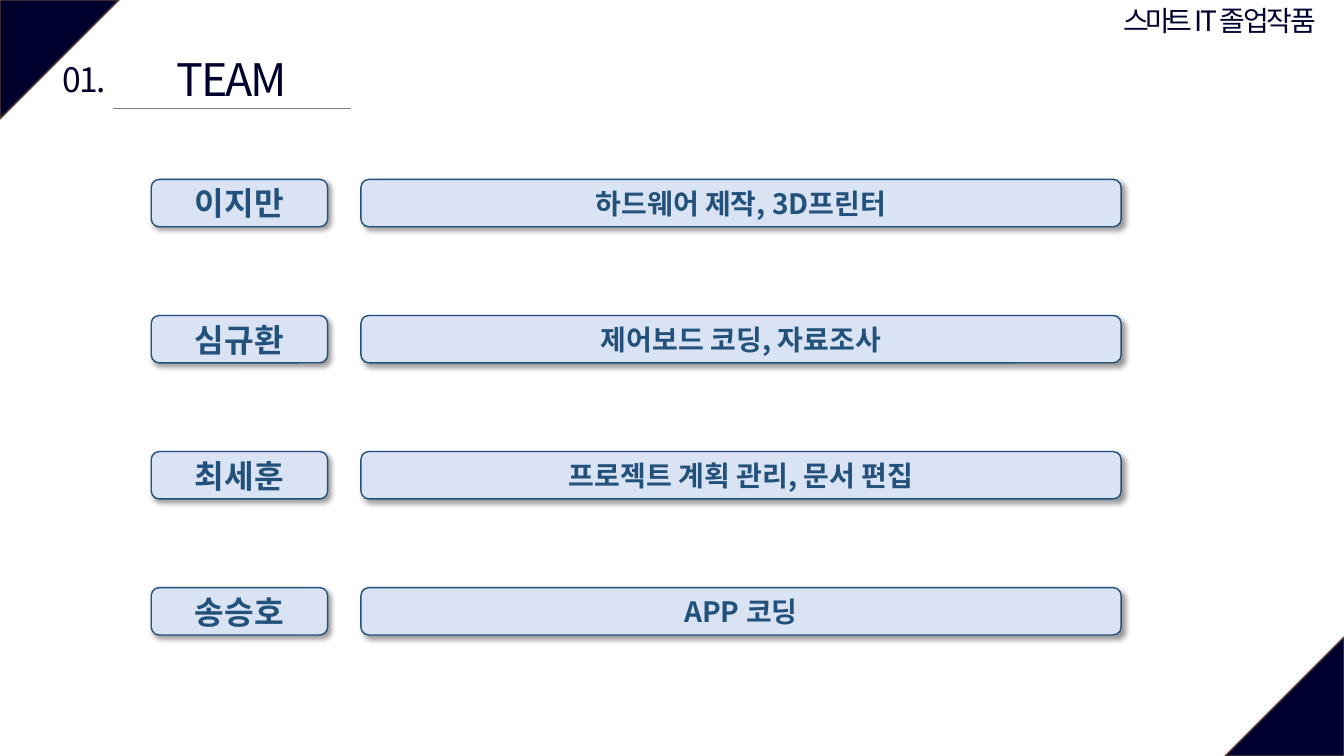
"""Build the team roles slide."""
from lxml import etree
from pptx import Presentation
from pptx.dml.color import RGBColor
from pptx.enum.shapes import MSO_CONNECTOR as CONN, MSO_SHAPE as SHAPE
from pptx.enum.text import MSO_ANCHOR as ANCHOR, MSO_AUTO_SIZE as AUTO, PP_ALIGN as ALIGN
from pptx.oxml.ns import qn
from pptx.util import Inches, Pt

COLORS = {"navy": "00002F", "edge": "5B3F33", "rule": "808080",
          "box": "DAE3F3", "blue": "22517B", "shadow": "000000"}
FONT = "Noto Sans CJK KR"
TEAM = [("이지만", "하드웨어 제작, 3D프린터"),
        ("심규환", "제어보드 코딩, 자료조사"),
        ("최세훈", "프로젝트 계획 관리, 문서 편집"),
        ("송승호", "APP 코딩")]


def write(sp, text, size, color, bold=False, spacing=0, wrap=False):
    tf = sp.text_frame
    tf.text = text
    tf.auto_size = AUTO.NONE
    tf.word_wrap = wrap
    tf.vertical_anchor = ANCHOR.MIDDLE
    tf.margin_top = tf.margin_bottom = 0
    p = tf.paragraphs[0]
    p.alignment = ALIGN.CENTER
    r = p.runs[0]
    r.font.size = Pt(size)
    r.font.bold = bold
    r.font.color.rgb = RGBColor.from_string(COLORS[color])
    r.font.name = FONT
    rPr = r.font._element
    rPr.set("spc", str(int(spacing * 100)))
    etree.SubElement(rPr, qn("a:ea"), typeface=FONT)


def add_filled(kind, left, top, width, height, fill, line):
    sp = s.shapes.add_shape(kind, Inches(left), Inches(top), Inches(width), Inches(height))
    sp.shadow.inherit = False
    sp.fill.solid()
    sp.fill.fore_color.rgb = RGBColor.from_string(COLORS[fill])
    sp.line.color.rgb = RGBColor.from_string(COLORS[line])
    sp.line.width = Pt(1)
    return sp


prs = Presentation()
prs.slide_width, prs.slide_height = Inches(13.33), Inches(7.5)
s = prs.slides.add_slide(prs.slide_layouts[5])

for left, top, angle in [(0, 0, 90), (12.15, 6.32, 270)]:
    corner = add_filled(SHAPE.ISOSCELES_TRIANGLE, left, top, 1.18, 1.18, "navy", "edge")
    corner.adjustments[0] = 0
    corner.rotation = angle

title = s.shapes.title
title.left, title.top, title.width, title.height = map(Inches, (1.62, 0.46, 1.36, 0.64))
write(title, "TEAM", 32, "navy", spacing=-1.5)

header = s.shapes.add_textbox(Inches(10.87), Inches(0), Inches(2.46), Inches(0.4))
write(header, "스마트 I T 졸 업 작 품", 20, "navy", spacing=-3)

number = s.shapes.add_textbox(Inches(0.49), Inches(0.53), Inches(0.69), Inches(0.5))
write(number, "01.", 24, "navy", spacing=-1.5)

rule = s.shapes.add_connector(CONN.STRAIGHT, Inches(1.12), Inches(1.08), Inches(3.48), Inches(1.08))
rule.line.color.rgb = RGBColor.from_string(COLORS["rule"])
rule.line.width = Pt(0.5)
etree.SubElement(rule._element.spPr, qn("a:effectLst"))

for i, (name, role) in enumerate(TEAM):
    for text, left, width, size in [(name, 1.5, 1.75, 23), (role, 3.58, 7.54, 20)]:
        box = add_filled(SHAPE.ROUNDED_RECTANGLE, left, 1.78 + 1.35 * i, width, 0.47, "box", "blue")
        write(box, text, size, "blue", bold=True, wrap=True)
        effects = box._element.spPr.find(qn("a:effectLst"))
        shadow = etree.SubElement(effects, qn("a:outerShdw"), blurRad=str(Pt(4)), dist=str(Pt(3)),
                                  dir=str(45 * 60000), algn="tl", rotWithShape="0")
        tint = etree.SubElement(shadow, qn("a:srgbClr"), val=COLORS["shadow"])
        etree.SubElement(tint, qn("a:alpha"), val="40000")

prs.save("out.pptx")
